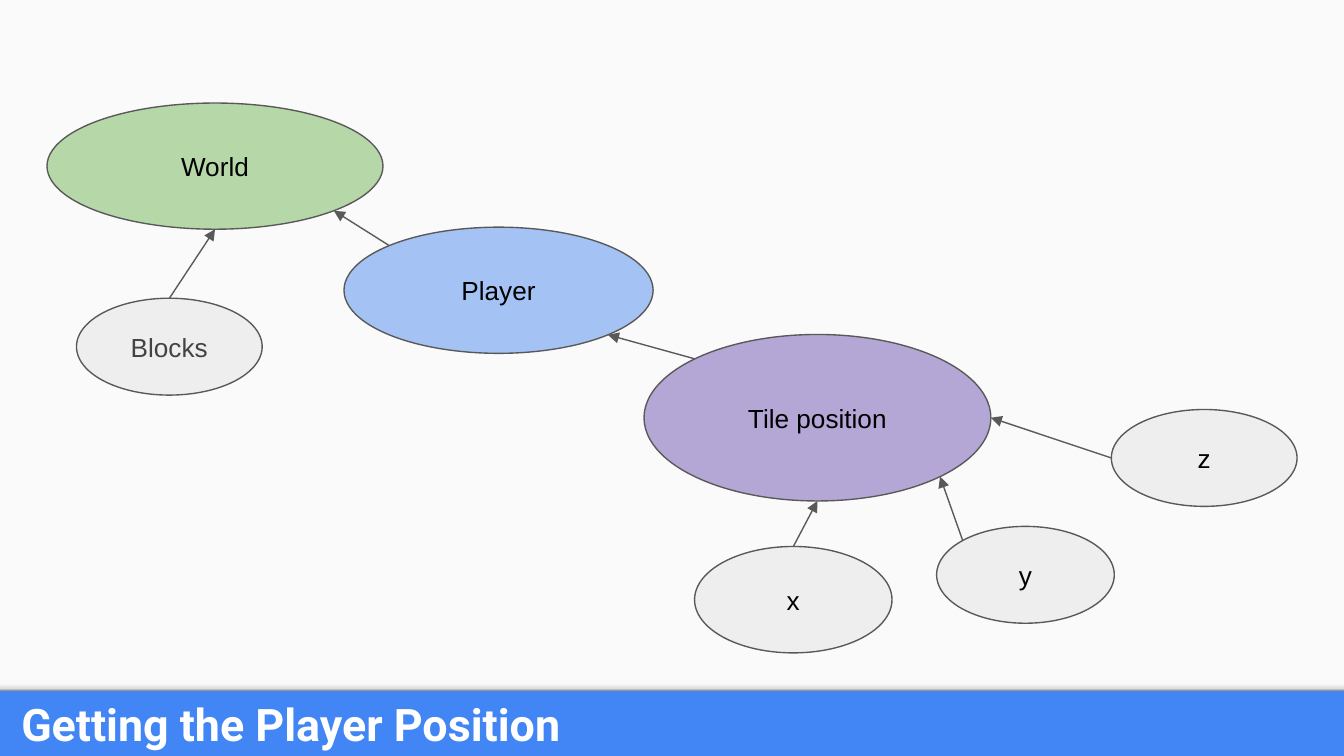
from math import cos, radians, sin

from lxml import etree
from pptx import Presentation
from pptx.dml.color import RGBColor
from pptx.enum.shapes import MSO_CONNECTOR, MSO_SHAPE
from pptx.enum.text import MSO_ANCHOR, PP_ALIGN
from pptx.oxml.ns import qn
from pptx.util import Pt

RECTANGLE = MSO_SHAPE.RECTANGLE
OVAL = MSO_SHAPE.OVAL
STRAIGHT = MSO_CONNECTOR.STRAIGHT
MIDDLE = MSO_ANCHOR.MIDDLE
LEFT = PP_ALIGN.LEFT
CENTER = PP_ALIGN.CENTER

WIDTH, HEIGHT = 720, 405
PANEL_HEIGHT = 370
SHADOW_HEIGHT = 5.5
INSET = 7.2
OUTLINE = "595959"

# label: left, top, width, height, fill, text colour
NODES = {
    "World": (25.2, 55.2, 180, 67.6, "B6D7A8", "000000"),
    "Player": (184.3, 121.7, 165.6, 67.6, "A4C2F4", "000000"),
    "Tile position": (345, 179.2, 185.8, 89.2, "B4A7D6", "000000"),
    "Blocks": (41, 159.8, 99.5, 51.9, "EEEEEE", "434343"),
    "x": (372.1, 292.8, 105.8, 57, "EEEEEE", "000000"),
    "y": (501.8, 282, 95.2, 51.9, "EEEEEE", "000000"),
    "z": (595.4, 219.4, 99.5, 51.9, "EEEEEE", "000000"),
}

# child, its angle, parent, its angle (degrees clockwise from the right)
LINKS = [
    ("Tile position", 225, "Player", 45),
    ("Player", 225, "World", 45),
    ("x", 270, "Tile position", 90),
    ("y", 225, "Tile position", 45),
    ("z", 180, "Tile position", 0),
    ("Blocks", 270, "World", 90),
]


def color(value):
    return RGBColor.from_string(value)


def write_text(shape, text, font_name, size, text_color, alignment, bold=False):
    frame = shape.text_frame
    frame.text = text
    frame.word_wrap = True
    frame.vertical_anchor = MIDDLE
    frame.margin_left = frame.margin_right = Pt(INSET)
    frame.margin_top = frame.margin_bottom = Pt(INSET)
    paragraph = frame.paragraphs[0]
    paragraph.alignment = alignment
    font = paragraph.runs[0].font
    font.name = font_name
    font.size = Pt(size)
    font.bold = bold
    font.color.rgb = color(text_color)


def add_filled_shape(slide, kind, left, top, width, height, fill):
    shape = slide.shapes.add_shape(kind, Pt(left), Pt(top), Pt(width), Pt(height))
    shape.shadow.inherit = False
    shape.fill.solid()
    shape.fill.fore_color.rgb = color(fill)
    shape.line.fill.background()
    return shape


def add_panel_shadow(slide):
    """Add the strip that darkens towards the title bar."""
    shape = add_filled_shape(slide, RECTANGLE, 0, PANEL_HEIGHT - SHADOW_HEIGHT,
                             WIDTH, SHADOW_HEIGHT, "F9F9F9")
    gradient = etree.Element(qn("a:gradFill"), rotWithShape="1")
    stops = etree.SubElement(gradient, qn("a:gsLst"))
    for percent, value in [(0, "F9F9F9"), (36, "F9F9F9"), (80, "DEDEDE"), (100, "999999")]:
        stop = etree.SubElement(stops, qn("a:gs"), pos=str(percent * 1000))
        etree.SubElement(stop, qn("a:srgbClr"), val=value)
    etree.SubElement(gradient, qn("a:lin"), ang="5400000", scaled="0")
    properties = shape._element.spPr
    properties.replace(properties.find(qn("a:solidFill")), gradient)


def add_title(slide, text):
    box = slide.shapes.add_textbox(Pt(4.3), Pt(PANEL_HEIGHT), Pt(660), Pt(HEIGHT - PANEL_HEIGHT))
    write_text(box, text, "Roboto", 24, "FFFFFF", LEFT, bold=True)


def add_node(slide, label):
    left, top, width, height, fill, text_color = NODES[label]
    shape = add_filled_shape(slide, OVAL, left, top, width, height, fill)
    shape.line.color.rgb = color(OUTLINE)
    shape.line.width = Pt(0.75)
    write_text(shape, label, "Arial", 14, text_color, CENTER)


def rim_point(label, angle):
    left, top, width, height = NODES[label][:4]
    x = left + width / 2 * (1 + cos(radians(angle)))
    y = top + height / 2 * (1 + sin(radians(angle)))
    return Pt(x), Pt(y)


def add_arrow(slide, child, child_angle, parent, parent_angle):
    connector = slide.shapes.add_connector(
        STRAIGHT, *rim_point(child, child_angle), *rim_point(parent, parent_angle))
    connector.line.color.rgb = color(OUTLINE)
    connector.line.width = Pt(0.75)
    properties = connector._element.spPr
    line = properties.find(qn("a:ln"))
    etree.SubElement(line, qn("a:tailEnd"), type="triangle", w="med", len="med")
    etree.SubElement(properties, qn("a:effectLst"))


def main():
    presentation = Presentation()
    presentation.slide_width = Pt(WIDTH)
    presentation.slide_height = Pt(HEIGHT)
    slide = presentation.slides.add_slide(presentation.slide_layouts[6])
    background = slide.background.fill
    background.solid()
    background.fore_color.rgb = color("4285F4")

    add_filled_shape(slide, RECTANGLE, 0, 0, WIDTH, PANEL_HEIGHT, "FAFAFA")
    add_panel_shadow(slide)
    add_title(slide, "Getting the Player Position")
    for label in NODES:
        add_node(slide, label)
    for link in LINKS:
        add_arrow(slide, *link)
    presentation.save("out.pptx")


if __name__ == "__main__":
    main()
